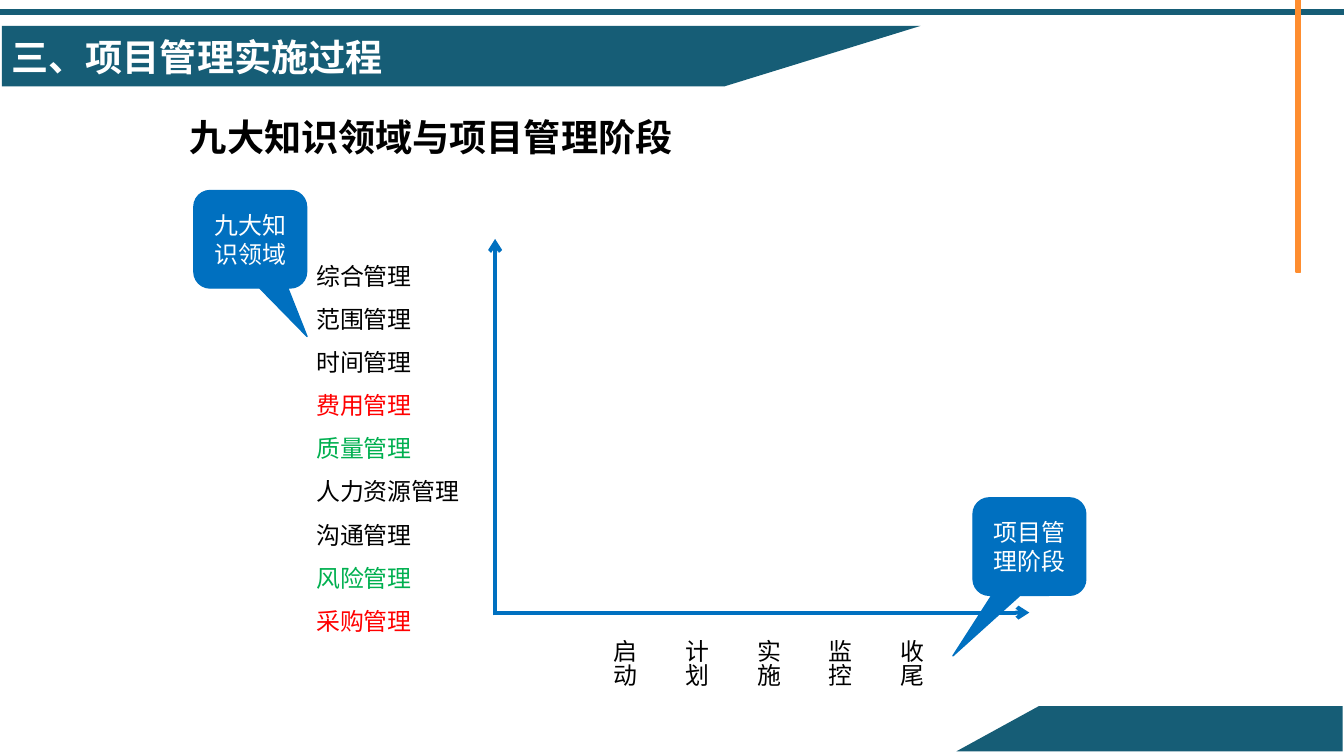
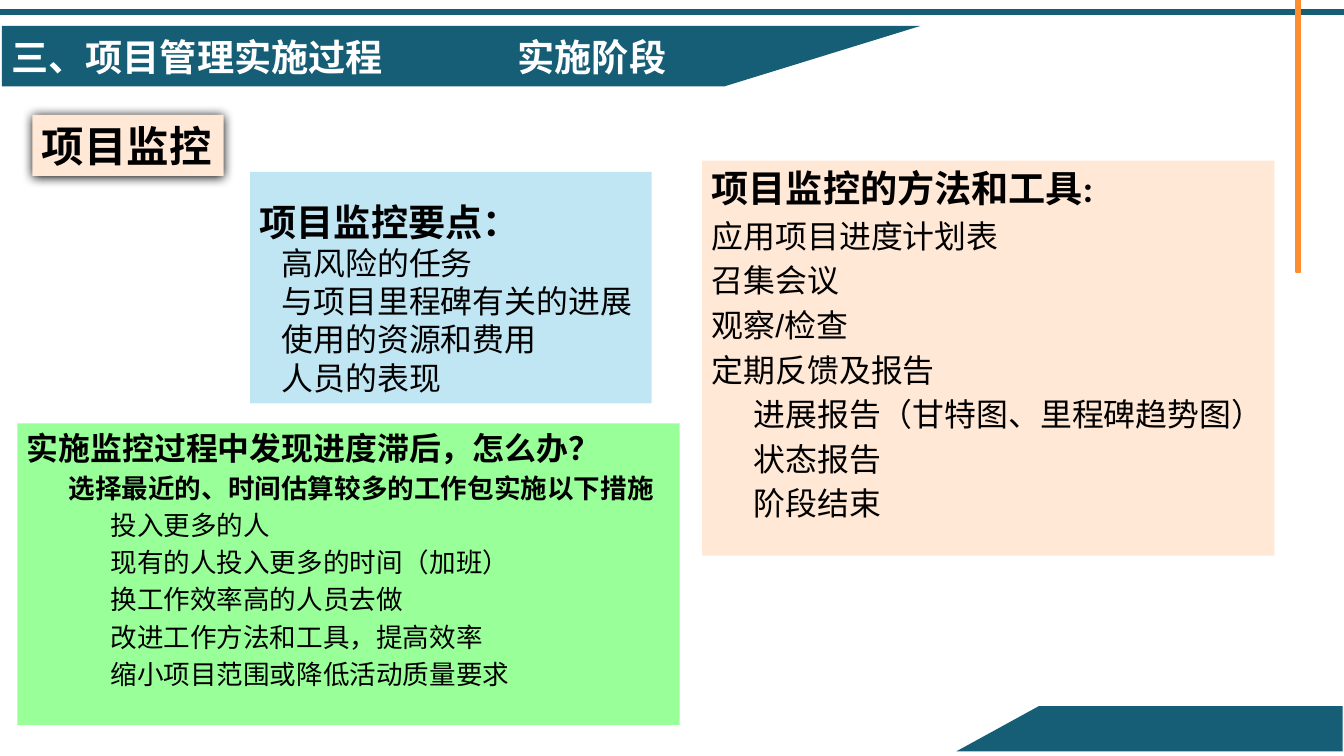
from pptx import Presentation
from pptx.dml.color import RGBColor
from pptx.enum.shapes import MSO_CONNECTOR, MSO_SHAPE
from pptx.enum.text import MSO_ANCHOR, MSO_AUTO_SIZE, PP_ALIGN
from pptx.oxml.ns import qn
from pptx.util import Pt
from lxml import etree

RECT = MSO_SHAPE.RECTANGLE
CALLOUT = MSO_SHAPE.ROUNDED_RECTANGULAR_CALLOUT
STRAIGHT = MSO_CONNECTOR.STRAIGHT
LEFT, CENTER = PP_ALIGN.LEFT, PP_ALIGN.CENTER
TOP, MIDDLE = MSO_ANCHOR.TOP, MSO_ANCHOR.MIDDLE
NO_FIT = MSO_AUTO_SIZE.NONE

TEAL = RGBColor(0x16, 0x5D, 0x76)
ORANGE = RGBColor(0xFE, 0x8D, 0x2F)
BLUE = RGBColor(0x00, 0x70, 0xC0)
RED = RGBColor(0xFF, 0x00, 0x00)
GREEN = RGBColor(0x00, 0xB0, 0x50)
BLACK = RGBColor(0x00, 0x00, 0x00)
WHITE = RGBColor(0xFF, 0xFF, 0xFF)
PALE_BLUE = RGBColor(0xC1, 0xE6, 0xF3)
PEACH = RGBColor(0xFF, 0xE8, 0xD5)
LIME = RGBColor(0x99, 0xFF, 0x99)

CJK = "Noto Sans CJK SC"
SLIDE_W, SLIDE_H = 1012.5, 569.5
TITLE_ONLY_BODY, COMPARISON = 1, 4
LEVEL_INDENT = 31.5
CHAPTER = "三、项目管理实施过程"


# Text
def write(frame, text, size=18, color=BLACK, bold=False, font=CJK, align=LEFT,
          spacing=1.0, before=0, level=0, indent=None):
    """Add one formatted paragraph; an empty first paragraph is reused."""
    first = frame.paragraphs[0]
    paragraph = frame.add_paragraph() if first.runs else first
    paragraph.alignment = align
    paragraph.line_spacing = spacing
    paragraph.space_before = Pt(before)
    paragraph.level = level
    margin = level * LEVEL_INDENT if indent is None else indent
    properties = paragraph._p.get_or_add_pPr()
    properties.set("marL", str(Pt(margin)))
    properties.set("indent", "0")
    etree.SubElement(properties, qn("a:buNone"))
    run = paragraph.add_run()
    run.text = text
    run.font.size = Pt(size)
    run.font.bold = bold
    run.font.color.rgb = color
    run.font.name = font
    etree.SubElement(run._r.get_or_add_rPr(), qn("a:ea"), typeface=CJK)


def setup_frame(shape, anchor=TOP, wrap=True):
    frame = shape.text_frame
    frame.word_wrap = wrap
    frame.auto_size = NO_FIT
    frame.vertical_anchor = anchor
    return frame


def text_box(slide, box, text, **fmt):
    frame = setup_frame(slide.shapes.add_textbox(*map(Pt, box)))
    write(frame, text, **fmt)


# Shapes
def paint(shape, fill, line=None):
    shape.fill.solid()
    shape.fill.fore_color.rgb = fill
    if line is None:
        shape.line.fill.background()
    else:
        shape.line.color.rgb = line
        shape.line.width = Pt(1)


def add_shape(slide, kind, box, fill, line=None):
    shape = slide.shapes.add_shape(kind, *map(Pt, box))
    shape.shadow.inherit = False
    paint(shape, fill, line)
    return shape


def polygon(slide, points, fill):
    start, *rest = [(Pt(x), Pt(y)) for x, y in points]
    builder = slide.shapes.build_freeform(*start, scale=1.0)
    builder.add_line_segments(rest, close=True)
    shape = builder.convert_to_shape()
    shape.shadow.inherit = False
    paint(shape, fill)
    return shape


def arrow(slide, x1, y1, x2, y2):
    axis = slide.shapes.add_connector(STRAIGHT, Pt(x1), Pt(y1), Pt(x2), Pt(y2))
    axis.line.color.rgb = BLUE
    axis.line.width = Pt(3)
    etree.SubElement(axis.line._get_or_add_ln(), qn("a:tailEnd"), type="arrow")
    etree.SubElement(axis.element.spPr, qn("a:effectLst"))


def callout(slide, x, y, text, pointer):
    bubble = add_shape(slide, CALLOUT, (x, y, 85, 73.5), BLUE, BLUE)
    for index, value in enumerate((*pointer, 0.167)):
        bubble.adjustments[index] = value
    write(setup_frame(bubble, MIDDLE), text, color=WHITE, align=CENTER)


# Shared frame and title
def build_master_frame(slide, master):
    """Draw bands and bars, then hand them to the slide master."""
    parts = [add_shape(slide, RECT, (0, 7, SLIDE_W, 3.5), TEAL, TEAL)]
    for top, bottom in ((0, 61), (46.5, 205)):
        bar = (976.3, top, 3.5, bottom - top)
        parts.append(add_shape(slide, RECT, bar, ORANGE, ORANGE))
    title_band = [(1.5, 19.5), (693.5, 19.5), (546, 65), (1.5, 65)]
    footer_band = [(1011.5, 566), (720.5, 566), (782.5, 532), (1011.5, 532)]
    parts += [polygon(slide, band, TEAL) for band in (title_band, footer_band)]
    for index, part in enumerate(parts):
        part.element.xpath(".//p:cNvPr")[0].set("id", str(100 + index))
        master.shapes.element.insert(2 + index, part.element)


def place(placeholder, box):
    (placeholder.left, placeholder.top,
     placeholder.width, placeholder.height) = map(Pt, box)
    return placeholder


def chapter_title(slide):
    title = place(slide.shapes.title, (1.5, 21.5, 353, 42))
    write(setup_frame(title, MIDDLE), CHAPTER, size=28, color=WHITE, bold=True)


# Slide 1: knowledge areas against phases
def phase_diagram(slide, box):
    x, y, width, height = box
    axis_x, axis_y = x + 227, y + 318

    arrow(slide, axis_x, axis_y, x + 629.5, axis_y)
    arrow(slide, axis_x, axis_y + 2, axis_x, y + 36.5)

    areas = place(slide.placeholders[1], (x + 85, y + 39.5, 126, 301.5))
    frame = setup_frame(areas)
    for text, color in (
            ("综合管理", BLACK), ("范围管理", BLACK), ("时间管理", BLACK),
            ("费用管理", RED), ("质量管理", GREEN), ("人力资源管理", BLACK),
            ("沟通管理", BLACK), ("风险管理", GREEN), ("采购管理", RED)):
        write(frame, text, color=color, spacing=1.5)

    # Vertical columns run from right to left
    phases = slide.shapes.add_textbox(Pt(x + 300.5), Pt(y + height - 44),
                                      Pt(287), Pt(44))
    frame = setup_frame(phases, wrap=False)
    phases.element.txBody.bodyPr.set("vert", "eaVert")
    for text in ("收尾", "监控", "实施", "计划", "启动"):
        write(frame, text, spacing=2.5)

    callout(slide, x, y, "九大知识领域", (0.504, 0.997))
    callout(slide, x + width - 85, y + 231.5, "项目管理阶段", (-0.679, 1.121))


def knowledge_slide(slide):
    chapter_title(slide)
    text_box(slide, (136, 86.5, 648, 34), "九大知识领域与项目管理阶段",
             size=28, bold=True, font="Calibri", spacing=0.9)
    phase_diagram(slide, (146, 143.5, 672, 375.5))


# Slide 2: monitoring
def panel(placeholder, box, fill, lines):
    paint(place(placeholder, box), fill)
    frame = setup_frame(placeholder)
    for text, fmt in lines:
        write(frame, text, **fmt)


def topic_label(slide, box, text):
    label = add_shape(slide, RECT, box, PEACH)
    write(setup_frame(label), text, size=32, bold=True, font="Calibri")
    effects = label.element.spPr.find(qn("a:effectLst"))
    shadow = etree.SubElement(
        effects, qn("a:outerShdw"), blurRad=str(Pt(8.5)), dist=str(Pt(1)),
        dir="5400000", algn="ctr", rotWithShape="0")
    etree.SubElement(shadow, qn("a:srgbClr"), val=str(BLACK))


def monitoring_slide(slide):
    chapter_title(slide)
    text_box(slide, (383, 22.5, 139, 42), "实施阶段",
             size=28, color=WHITE, bold=True, font="Calibri")
    topic_label(slide, (24.5, 86.5, 144, 46), "项目监控")

    heading = dict(size=28, bold=True)
    point = dict(size=24, indent=16.5)
    panel(slide.placeholders[1], (188.5, 129.5, 302.5, 174.5), PALE_BLUE, [
        ("项目监控要点：", dict(heading, spacing=1.5)),
        ("高风险的任务", point),
        ("与项目里程碑有关的进展", point),
        ("使用的资源和费用", point),
        ("人员的表现", point)])

    method = dict(size=24, font="Arial", before=4.8)
    report = dict(method, level=1)
    panel(slide.placeholders[2], (529, 121, 431, 297.5), PEACH, [
        ("项目监控的方法和工具:", dict(heading, font="Calibri", before=5.6)),
        ("应用项目进度计划表", method),
        ("召集会议", method),
        ("观察/检查", method),
        ("定期反馈及报告", method),
        ("进展报告（甘特图、里程碑趋势图）", report),
        ("状态报告", report),
        ("阶段结束", report)])

    measure = dict(size=20, font="Arial", before=4, level=2)
    panel(slide.placeholders[3], (13, 319, 499, 227), LIME, [
        ("实施监控过程中发现进度滞后，怎么办？", dict(method, bold=True)),
        ("选择最近的、时间估算较多的工作包实施以下措施",
         dict(measure, level=1, bold=True)),
        ("投入更多的人", measure),
        ("现有的人投入更多的时间（加班）", measure),
        ("换工作效率高的人员去做", measure),
        ("改进工作方法和工具，提高效率", measure),
        ("缩小项目范围或降低活动质量要求", measure)])

    unused = slide.placeholders[4].element
    unused.getparent().remove(unused)


def main():
    deck = Presentation()
    deck.slide_width, deck.slide_height = Pt(SLIDE_W), Pt(SLIDE_H)
    knowledge = deck.slides.add_slide(deck.slide_layouts[TITLE_ONLY_BODY])
    monitoring = deck.slides.add_slide(deck.slide_layouts[COMPARISON])
    build_master_frame(knowledge, deck.slide_master)
    knowledge_slide(knowledge)
    monitoring_slide(monitoring)
    deck.save("out.pptx")


if __name__ == "__main__":
    main()
